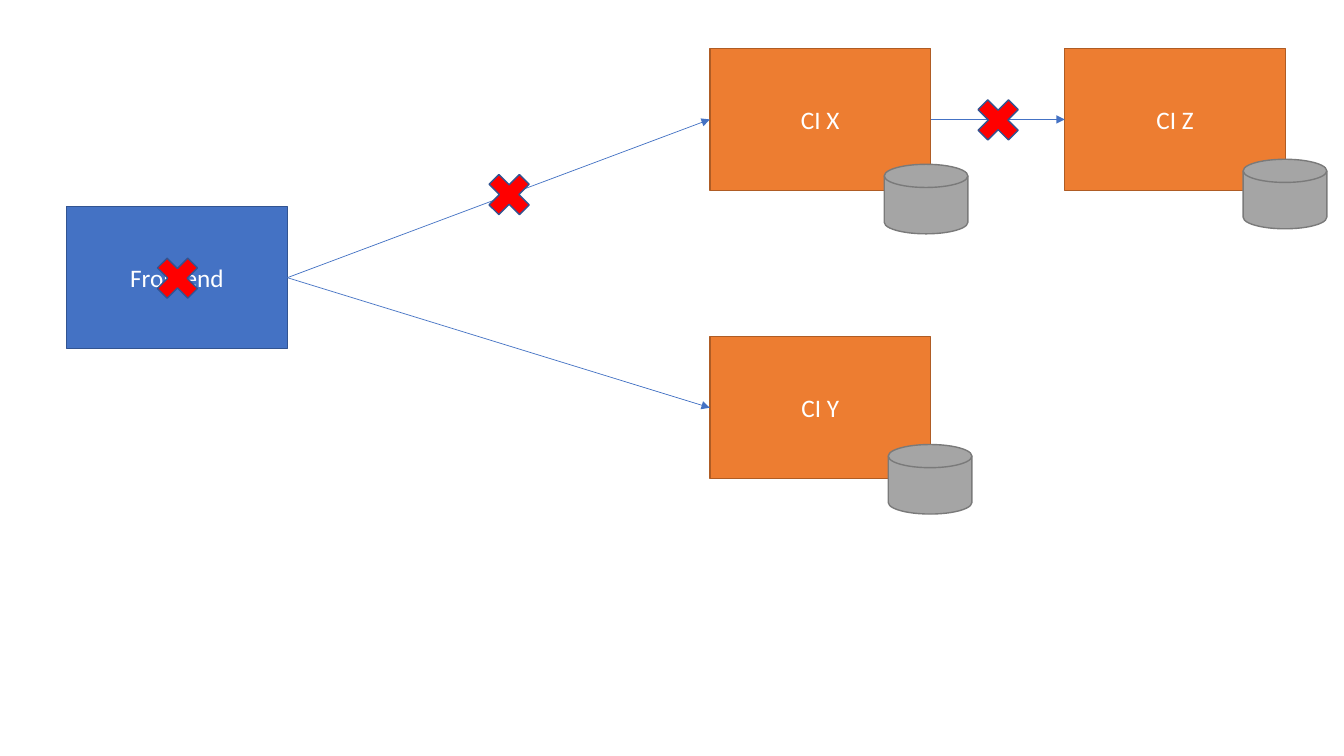
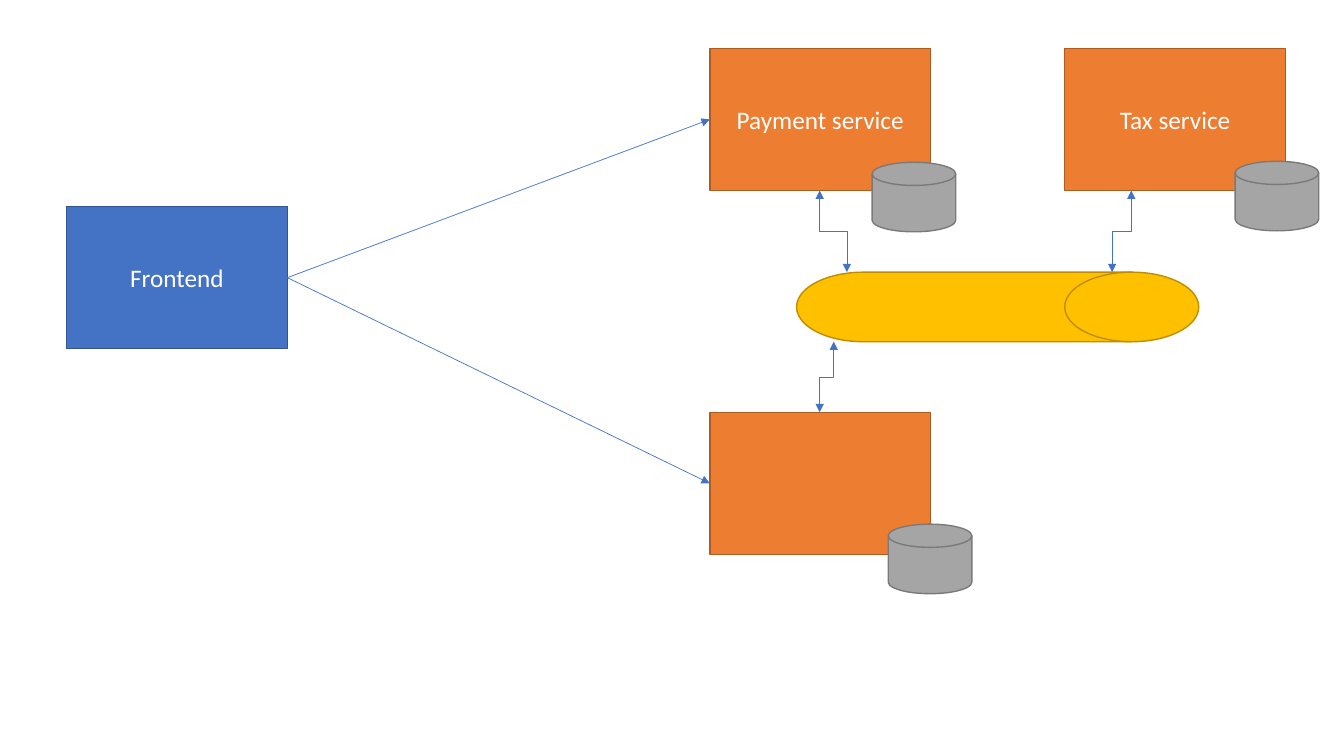
from pptx import Presentation
from pptx.dml.color import RGBColor
from pptx.enum.shapes import MSO_CONNECTOR as Link, MSO_SHAPE as Shape
from pptx.enum.text import MSO_ANCHOR, PP_ALIGN
from pptx.oxml.ns import qn
from pptx.util import Inches, Pt
from lxml.etree import SubElement

# Shared look: preset, size, fill and outline of each kind of part
FONT, WHITE, BLUE = "Calibri", "FFFFFF", "4472C4"
STYLES = {
    "frontend": (Shape.RECTANGLE, 2.19, 1.41, BLUE, "325491"),
    "service": (Shape.RECTANGLE, 2.19, 1.41, "ED7D31", "AF5C24"),
    "failure": (Shape.MATH_MULTIPLY, 0.58, 0.58, "FF0000", "325491"),
    "database": (Shape.FLOWCHART_MAGNETIC_DISK, 0.83, 0.69, "A5A5A5", "7A7A7A"),
    "queue": (Shape.FLOWCHART_DIRECT_ACCESS_STORAGE, 3.99, 0.69, "FFC000", "BD8E00"),
}
TOP, LEFT_COLUMN, RIGHT_COLUMN = 0.48, 7.04, 10.56
LEFT_SITE, RIGHT_SITE = 1, 3

# Content: boxes are (key, style, left, top, text)
FRONTEND = ("frontend", "frontend", 0.66, 2.05, "Frontend")
SLIDES = [
    {
        "boxes": [
            FRONTEND,
            ("y", "service", LEFT_COLUMN, 3.34, "CI Y"),
            ("x", "service", LEFT_COLUMN, TOP, "CI X"),
            ("z", "service", RIGHT_COLUMN, TOP, "CI Z"),
        ],
        "calls": [("frontend", "x"), ("x", "z"), ("frontend", "y")],
        "symbols": [
            ("failure", 9.61, 0.9), ("failure", 1.47, 2.47), ("failure", 4.76, 1.64),
            ("database", 8.77, 1.63), ("database", 12.33, 1.58), ("database", 8.81, 4.41),
        ],
        "exchanges": [],
    },
    {
        "boxes": [
            FRONTEND,
            ("lower", "service", LEFT_COLUMN, 4.09, ""),
            ("payment", "service", LEFT_COLUMN, TOP, "Payment service"),
            ("tax", "service", RIGHT_COLUMN, TOP, "Tax service"),
        ],
        "calls": [("frontend", "payment"), ("frontend", "lower")],
        "symbols": [
            ("queue", 7.9, 2.7),
            ("database", 8.65, 1.61), ("database", 12.25, 1.6), ("database", 8.81, 5.2),
        ],
        # Start and end of each two-way link with the queue
        "exchanges": [
            ((8.13, 1.89), (8.4, 2.7)),
            ((11.22, 1.89), (11.03, 2.7)),
            ((8.13, 4.09), (8.27, 3.39)),
        ],
    },
]


def rgb(value):
    return RGBColor.from_string(value)


def write(shape, text, size=18, color=WHITE, align=PP_ALIGN.CENTER):
    frame = shape.text_frame
    frame.word_wrap = True
    frame.vertical_anchor = MSO_ANCHOR.MIDDLE
    paragraph = frame.paragraphs[0]
    paragraph.alignment = align
    run = paragraph.add_run()
    run.text = text
    run.font.name, run.font.size = FONT, Pt(size)
    run.font.color.rgb = rgb(color)


def add_part(slide, style, left, top, text=""):
    preset, width, height, fill, outline = STYLES[style]
    part = slide.shapes.add_shape(
        preset, Inches(left), Inches(top), Inches(width), Inches(height))
    part.shadow.inherit = False
    part.fill.solid()
    part.fill.fore_color.rgb = rgb(fill)
    part.line.color.rgb = rgb(outline)
    part.line.width = Pt(1)
    if text:
        write(part, text)
    return part


def format_link(link, *ends):
    link.line.color.rgb = rgb(BLUE)
    link.line.width = Pt(0.5)
    for end in ends:
        SubElement(link.line._get_or_add_ln(), qn(f"a:{end}"), type="triangle")
    SubElement(link._element.spPr, qn("a:effectLst"))


def add_call(slide, caller, callee):
    link = slide.shapes.add_connector(Link.STRAIGHT, 0, 0, 0, 0)
    link.begin_connect(caller, RIGHT_SITE)
    link.end_connect(callee, LEFT_SITE)
    format_link(link, "tailEnd")


def add_exchange(slide, start, end):
    """Elbow that leaves vertically: drawn sideways, then turned by 90 degrees."""
    (x1, y1), (x2, y2) = start, end
    middle_x, middle_y = (x1 + x2) / 2, (y1 + y2) / 2
    half_x, half_y = (x2 - x1) / 2, (y2 - y1) / 2
    link = slide.shapes.add_connector(
        Link.ELBOW,
        Inches(middle_x - half_y), Inches(middle_y + half_x),
        Inches(middle_x + half_y), Inches(middle_y - half_x))
    link._element.spPr.find(qn("a:xfrm")).set("rot", str(90 * 60000))
    format_link(link, "headEnd", "tailEnd")


def main():
    deck = Presentation()
    deck.slide_width, deck.slide_height = Inches(13.33), Inches(7.5)
    blank = deck.slide_layouts[6]
    for content in SLIDES:
        slide = deck.slides.add_slide(blank)
        boxes = {key: add_part(slide, *box) for key, *box in content["boxes"]}
        for caller, callee in content["calls"]:
            add_call(slide, boxes[caller], boxes[callee])
        for symbol in content["symbols"]:
            add_part(slide, *symbol)
        for start, end in content["exchanges"]:
            add_exchange(slide, start, end)
    deck.save("out.pptx")


if __name__ == "__main__":
    main()
